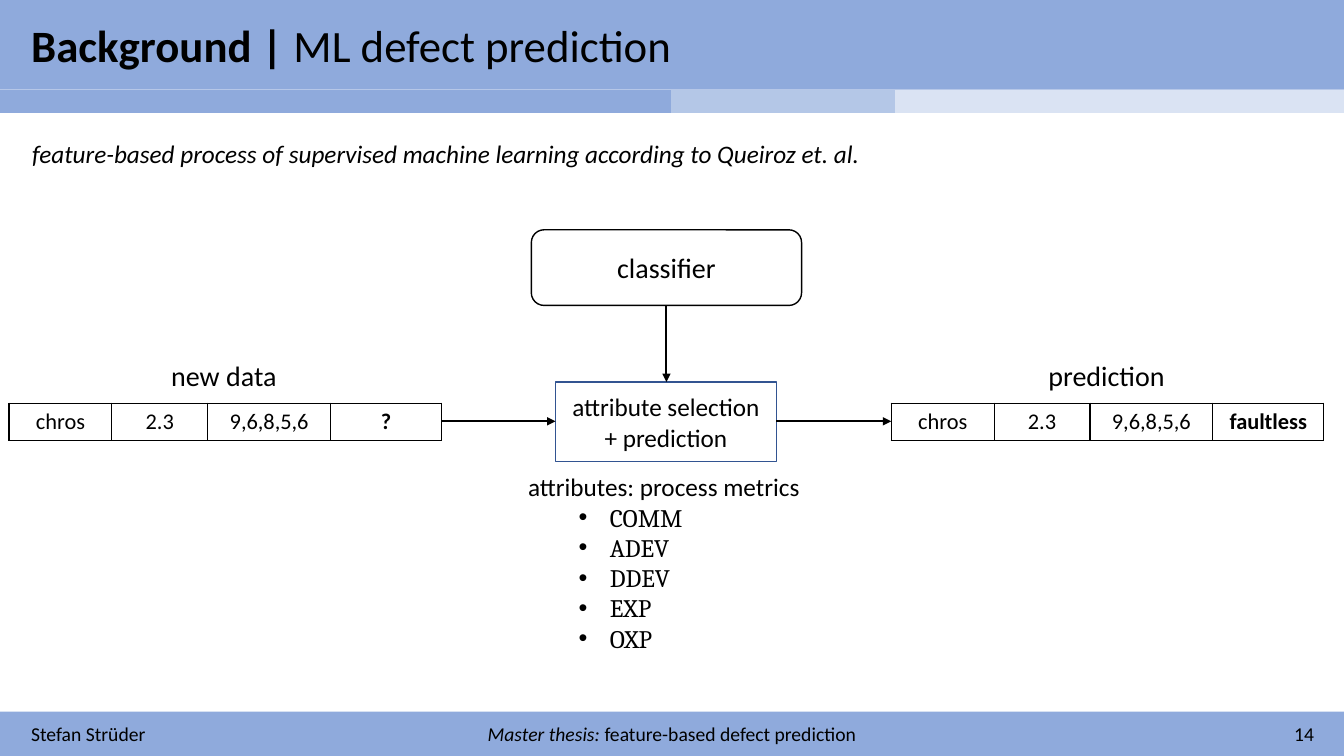
"""Build the slide on feature-based machine learning defect prediction."""
from lxml.etree import SubElement
from pptx import Presentation
from pptx.dml.color import RGBColor
from pptx.enum.shapes import MSO_CONNECTOR, MSO_SHAPE
from pptx.enum.text import MSO_ANCHOR, MSO_AUTO_SIZE, PP_ALIGN
from pptx.oxml.ns import qn
from pptx.util import Inches, Pt

COLORS = {
    "bar": "8FAADC",
    "strip_middle": "B4C7E7",
    "strip_light": "DAE3F3",
    "box_line": "325491",
    "black": "000000",
    "white": "FFFFFF",
}
NO_TABLE_STYLE = "{2D5ABB26-0587-4C30-8999-92F81FD0307C}"


def color(name):
    return RGBColor.from_string(COLORS[name])


def write(paragraph, text, size=18, font="Calibri", bold=False, italic=False, align=PP_ALIGN.LEFT):
    paragraph.alignment = align
    run = paragraph.add_run()
    run.text = text
    run.font.size = Pt(size)
    run.font.name = font
    run.font.bold = bold
    run.font.italic = italic
    run.font.color.rgb = color("black")


presentation = Presentation()
presentation.slide_width = Inches(13.33)
presentation.slide_height = Inches(7.5)
slide = presentation.slides.add_slide(presentation.slide_layouts[5])
shapes = slide.shapes
title = shapes.title

for top, height in [(7.06, 0.44), (0, 0.89)]:
    bar = shapes.add_shape(MSO_SHAPE.RECTANGLE, 0, Inches(top), Inches(13.33), Inches(height))
    bar.shadow.inherit = False
    bar.fill.solid()
    bar.fill.fore_color.rgb = color("bar")
    bar.line.fill.background()

shapes._spTree.append(title._element)
title.left, title.top, title.width, title.height = [Inches(n) for n in (0.21, 0.13, 6.61, 0.64)]
title.text_frame.auto_size = MSO_AUTO_SIZE.NONE
title.text_frame.vertical_anchor = MSO_ANCHOR.TOP
title.text_frame.word_wrap = False
write(title.text_frame.paragraphs[0], "Background | ", size=32, bold=True)
write(title.text_frame.paragraphs[0], "ML defect prediction", size=32)

strip_fills = ["bar", "bar", "strip_middle", "strip_light", "strip_light", "strip_light"]
strip_widths = [4.44, 2.22, 2.22, 1.48, 1.48, 1.49]
data_widths = [1.02, 0.95, 1.22, 1.1]
tables = [
    (0, 0.89, 0.23, strip_widths, [""] * 6, strip_fills),
    (0.09, 4, 0.37, data_widths, ["chros", "2.3", "9,6,8,5,6", "?"], None),
    (8.84, 4, 0.37, data_widths, ["chros", "2.3", "9,6,8,5,6", "faultless"], None),
]
for left, top, height, widths, texts, fills in tables:
    frame = shapes.add_table(1, len(widths), Inches(left), Inches(top), Inches(sum(widths)), Inches(height))
    table = frame.table
    table.first_row = False
    table.horz_banding = False
    table._tbl.tblPr.find(qn("a:tableStyleId")).text = NO_TABLE_STYLE
    for index, (width, text) in enumerate(zip(widths, texts)):
        table.columns[index].width = Inches(width)
        cell = table.cell(0, index)
        cell.vertical_anchor = MSO_ANCHOR.MIDDLE
        paragraph = cell.text_frame.paragraphs[0]
        if fills:
            cell.margin_top = cell.margin_bottom = 0
            SubElement(paragraph._p, qn("a:endParaRPr"), sz="800")
            cell.fill.solid()
            cell.fill.fore_color.rgb = color(fills[index])
            continue
        write(paragraph, text, size=16, bold=index == 3, align=PP_ALIGN.CENTER)
        properties = cell._tc.get_or_add_tcPr()
        for side in ("a:lnL", "a:lnR", "a:lnT", "a:lnB"):
            border = SubElement(properties, qn(side), w=str(Pt(1)))
            border_fill = SubElement(border, qn("a:solidFill"))
            SubElement(border_fill, qn("a:srgbClr"), val=COLORS["black"])
        cell.fill.background()

boxes = [
    (MSO_SHAPE.RECTANGLE, 5.51, 3.79, 2.19, 0.79, "attribute selection + prediction", 18, "box_line"),
    (MSO_SHAPE.ROUNDED_RECTANGLE, 5.27, 2.28, 2.68, 0.75, "classifier", 20, "black"),
]
for kind, left, top, width, height, text, size, line in boxes:
    box = shapes.add_shape(kind, Inches(left), Inches(top), Inches(width), Inches(height))
    box.shadow.inherit = False
    box.fill.solid()
    box.fill.fore_color.rgb = color("white")
    box.line.color.rgb = color(line)
    box.line.width = Pt(1)
    box.text_frame.word_wrap = True
    box.text_frame.vertical_anchor = MSO_ANCHOR.MIDDLE
    write(box.text_frame.paragraphs[0], text, size=size, align=PP_ALIGN.CENTER)

arrows = [(4.38, 4.18, 5.51, 4.18), (7.7, 4.18, 8.84, 4.18), (6.61, 3.03, 6.61, 3.79)]
for ends in arrows:
    arrow = shapes.add_connector(MSO_CONNECTOR.STRAIGHT, *[Inches(n) for n in ends])
    arrow.line.color.rgb = color("black")
    arrow.line.width = Pt(1.5)
    SubElement(arrow.line._get_or_add_ln(), qn("a:tailEnd"), type="triangle")
    SubElement(arrow._element.spPr, qn("a:effectLst"))

footer = {"size": 14}
labels = [
    (0.21, 7.11, 3.59, 0.34, [("Stefan Strüder", footer)]),
    (9.54, 7.11, 3.59, 0.34, [("14", {"size": 14, "align": PP_ALIGN.RIGHT})]),
    (4.62, 7.11, 4.09, 0.34, [
        ("Master thesis: ", {"size": 14, "italic": True}),
        ("feature-based defect prediction", {"size": 14, "align": PP_ALIGN.CENTER}),
    ]),
    (1.6, 3.51, 1.26, 0.44, [("new data", {"size": 20})]),
    (10.3, 3.51, 1.37, 0.44, [("prediction", {"size": 20})]),
    (0.22, 1.32, 8.6, 0.39, [
        ("feature-based process of supervised machine learning according to Queiroz et. al.", {"italic": True}),
    ]),
    (5.14, 4.63, 2.93, 1.92, [("attributes: process metrics", {})]),
]
for left, top, width, height, runs in labels:
    label = shapes.add_textbox(Inches(left), Inches(top), Inches(width), Inches(height))
    label.text_frame.word_wrap = True
    label.text_frame.vertical_anchor = MSO_ANCHOR.MIDDLE if top > 7 else MSO_ANCHOR.TOP
    for text, style in runs:
        write(label.text_frame.paragraphs[0], text, **style)

for metric in ["COMM", "ADEV", "DDEV", "EXP", "OXP"]:
    paragraph = label.text_frame.add_paragraph()
    paragraph.level = 1
    write(paragraph, metric, font="Cambria")
    properties = paragraph._p.get_or_add_pPr()
    properties.set("marL", str(Inches(0.81)))
    properties.set("indent", str(Inches(-0.31)))
    SubElement(properties, qn("a:buFont"), typeface="Arial")
    SubElement(properties, qn("a:buChar"), char="•")

presentation.save("out.pptx")
